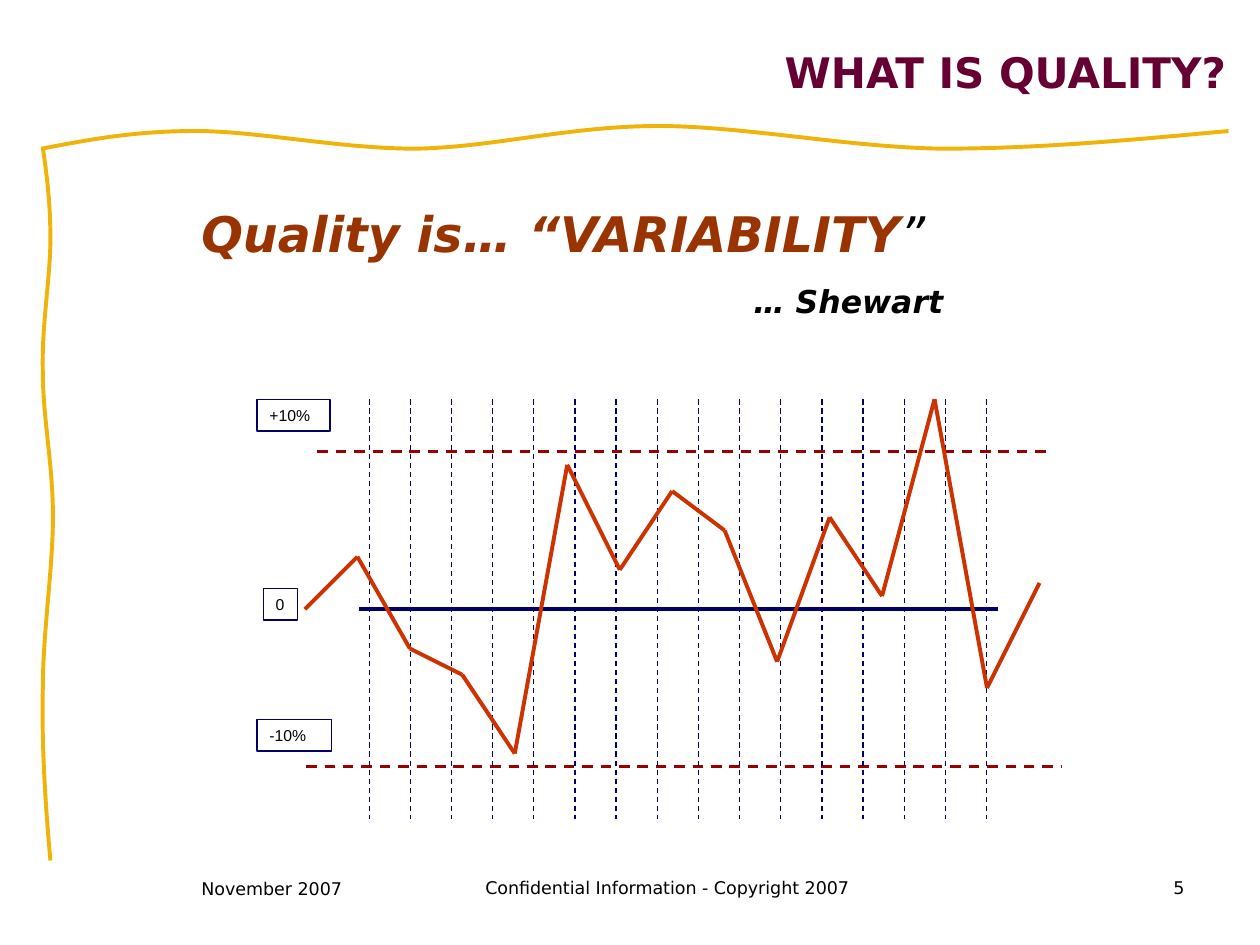
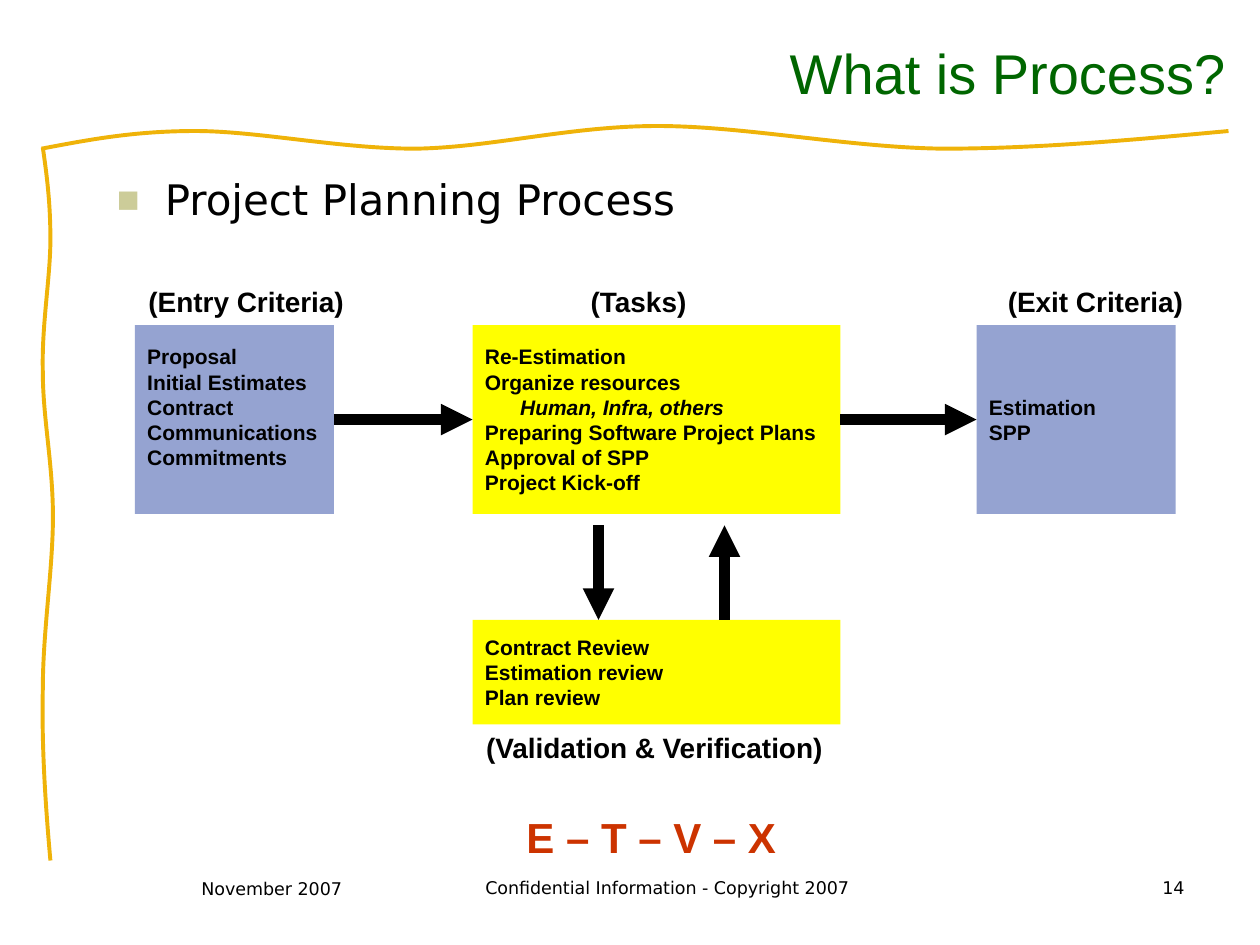
from itertools import pairwise

from lxml.etree import SubElement
from pptx import Presentation
from pptx.dml.color import RGBColor
from pptx.enum.dml import MSO_LINE_DASH_STYLE as Dash
from pptx.enum.shapes import MSO_CONNECTOR as Conn, MSO_SHAPE as Shape
from pptx.enum.text import MSO_ANCHOR as Anchor, MSO_AUTO_SIZE as Fit, PP_ALIGN as Align
from pptx.oxml.ns import qn
from pptx.util import Pt

PX = 9144  # 100 px to the inch
WIDTH, HEIGHT = 1000, 750

BLACK = RGBColor(0x00, 0x00, 0x00)
GOLD = RGBColor(0xEF, 0xB3, 0x09)
PLUM = RGBColor(0x66, 0x00, 0x33)
GREEN = RGBColor(0x00, 0x66, 0x00)
RUST = RGBColor(0x99, 0x33, 0x00)
RED = RGBColor(0x99, 0x00, 0x00)
NAVY = RGBColor(0x00, 0x00, 0x66)
ORANGE = RGBColor(0xCC, 0x33, 0x00)
BLUE = RGBColor(0x95, 0xA3, 0xD1)
YELLOW = RGBColor(0xFF, 0xFF, 0x00)
KHAKI = RGBColor(0xCC, 0xCC, 0x99)

SANS, ARIAL = "DejaVu Sans", "Arial"

# Start point, then two controls and an end for each curve
TOP_WAVE = [(33, 118), (70, 111), (106, 104), (155, 104),
            (205, 104), (269, 118), (330, 118),
            (391, 117), (452, 100), (522, 100),
            (591, 100), (673, 117), (748, 118),
            (824, 118), (899, 111), (975, 104)]
SIDE_WAVE = [(34, 117), (37, 138), (40, 160), (40, 190),
             (40, 220), (33, 258), (34, 295),
             (34, 332), (42, 368), (42, 410),
             (42, 452), (34, 501), (34, 547),
             (33, 592), (36, 638), (40, 683)]

FOOTER = ((150, 692, 133, "November 2007", Align.LEFT),
          (367, 691, 325, "Confidential Information - Copyright 2007", Align.CENTER))

SAMPLES = (0, 4, -3, -5, -11, 11, 3, 9, 6, -4, 7, 1, 16, -6, 2)


def emu(*lengths):
    return [round(n * PX) for n in lengths]


def style(para, size, color, font=SANS, bold=False, italic=False):
    for run in para.runs:
        face = run.font
        face.name, face.size, face.color.rgb = font, Pt(size), color
        face.bold, face.italic = bold, italic


def write(shape, text, size, color=BLACK, font=ARIAL, bold=False,
          align=Align.LEFT, anchor=Anchor.TOP, wrap=True):
    frame = shape.text_frame
    frame.text = text
    frame.word_wrap, frame.auto_size = wrap, Fit.NONE
    frame.vertical_anchor = anchor
    for para in frame.paragraphs:
        para.alignment = align
        style(para, size, color, font, bold)
    return frame


def label(slide, box, text, size, **look):
    return write(slide.shapes.add_textbox(*emu(*box)), text, size, **look)


def rect(slide, box, fill=None, edge=None):
    shape = slide.shapes.add_shape(Shape.RECTANGLE, *emu(*box))
    shape.shadow.inherit = False
    if fill is None:
        shape.fill.background()
    else:
        shape.fill.solid()
        shape.fill.fore_color.rgb = fill
    if edge is None:
        shape.line.fill.background()
    else:
        shape.line.color.rgb, shape.line.width = edge, Pt(0.75)
    return shape


def rule(slide, start, end, color, width, dash=None):
    line = slide.shapes.add_connector(Conn.STRAIGHT, *emu(*start, *end))
    line.line.color.rgb, line.line.width = color, Pt(width)
    if dash:
        line.line.dash_style = dash
    SubElement(line._element.spPr, qn("a:effectLst"))
    return line


def arrow(slide, start, end):
    line = rule(slide, start, end, BLACK, 6)
    SubElement(line.line._get_or_add_ln(), qn("a:tailEnd"), type="triangle")
    return line


def link(slide, left, right):
    """Join the right side of one box to the left side of the next."""
    line = arrow(slide, (0, 0), (0, 0))
    line.begin_connect(left, 3)
    line.end_connect(right, 1)


def wave(slide, points):
    """Draw a freeform and turn each three of its segments into one curve."""
    pen = slide.shapes.build_freeform(*emu(*points[0]))
    pen.add_line_segments([emu(*spot) for spot in points[1:]], close=False)
    shape = pen.convert_to_shape()
    legs = list(shape._element.iter(qn("a:lnTo")))
    for i in range(0, len(legs), 3):
        curve = SubElement(legs[i].getparent(), qn("a:cubicBezTo"))
        for leg in legs[i:i + 3]:
            curve.append(leg[0])
            leg.getparent().remove(leg)
    shape.shadow.inherit = False
    shape.fill.background()
    shape.line.color.rgb, shape.line.width = GOLD, Pt(2.25)


def frame_slide(deck, title, number, size, color, font, bold=False):
    """Add a slide with the waves, title and footer that all slides share."""
    slide = deck.slides.add_slide(deck.slide_layouts[5])
    wave(slide, TOP_WAVE)
    wave(slide, SIDE_WAVE)
    head = slide.shapes.title
    head.left, head.top, head.width, head.height = emu(133, 14, 850, 86)
    write(head, title, size, color, font, bold, Align.RIGHT, Anchor.MIDDLE)
    for x, y, w, text, align in (*FOOTER, (742, 691, 208, str(number), Align.RIGHT)):
        label(slide, (x, y, w, 50), text, 10, font=SANS, align=align)
    return slide


def quote(slide, box):
    frame = label(slide, box, "Quality is… “VARIABILITY", 28)
    first = frame.paragraphs[0]
    first.line_spacing = 1.5
    style(first, 28, RUST, bold=True, italic=True)
    mark = first.add_run()
    mark.text = "”"
    face = mark.font
    face.name, face.size, face.italic, face.color.rgb = SANS, Pt(28), True, BLACK
    author = frame.add_paragraph()
    author._p.get_or_add_pPr().set("marL", str(438 * PX))
    author.text = "… Shewart"
    author.line_spacing, author.space_before = 1.5, Pt(0.5)
    style(author, 18, BLACK, bold=True, italic=True)


def control(slide, box):
    """Draw the control chart: limits, grid, scale labels and samples."""
    x, y, w, h = box
    mid = y + h / 2
    limit = 125
    rule(slide, (x + 48, mid - limit), (x + w - 9, mid - limit), RED, 1.5, Dash.DASH)
    rule(slide, (x + 81, mid), (x + 588, mid), NAVY, 2.25)
    rule(slide, (x + 39, mid + limit), (x + w, mid + limit), RED, 1.5, Dash.DASH)
    for dx, dy, wide, text in ((5, 150, 27, "0"), (0, 0, 58, "+10%"), (0, 254, 59, "-10%")):
        tag = rect(slide, (x + dx, y + dy, wide, 25), edge=NAVY)
        write(tag, text, 9, wrap=wide > 30)
    count = 16
    for i in range(count):
        grid = x + 89 + 490 * i / (count - 1)
        rule(slide, (grid, y), (grid, y + h), NAVY, 0.75, Dash.DASH)
    step, unit = 583 / (len(SAMPLES) - 1), limit / 12
    spots = [(x + 38 + i * step, mid - n * unit) for i, n in enumerate(SAMPLES)]
    for a, b in pairwise(spots):
        rule(slide, a, b, ORANGE, 2.25)


def bullet(slide, box, text):
    frame = label(slide, box, text, 24, font=SANS)
    para = frame.paragraphs[0]
    para.line_spacing = 1.2
    props = para._p.get_or_add_pPr()
    props.set("marL", str(38 * PX))
    props.set("indent", str(-38 * PX))
    tint = SubElement(props, qn("a:buClr"))
    SubElement(tint, qn("a:srgbClr"), val=str(KHAKI))
    SubElement(props, qn("a:buSzPct"), val="90000")
    SubElement(props, qn("a:buFont"), typeface=ARIAL)
    SubElement(props, qn("a:buChar"), char="■")


def stage(slide, box, fill, lines):
    shape = rect(slide, box, fill)
    write(shape, "\n".join(lines), 12, bold=True, anchor=Anchor.MIDDLE)
    return shape


def flow(slide, box):
    """Draw the entry, task, validation and exit stages with their arrows."""
    x, y, w, h = box
    top, tall = y + 37, 150
    side, wide, mid = 158, 292, x + 268
    entry = stage(slide, (x, top, side, tall), BLUE,
                  ("Proposal", "Initial Estimates", "Contract",
                   "Communications", "Commitments"))
    entry.text_frame.margin_bottom = 25 * PX
    tasks = stage(slide, (mid, top, wide, tall), YELLOW,
                  ("Re-Estimation", "Organize resources", "Human, Infra, others",
                   "Preparing Software Project Plans", "Approval of SPP",
                   "Project Kick-off"))
    detail = tasks.text_frame.paragraphs[2]
    detail._p.get_or_add_pPr().set("marL", str(28 * PX))
    style(detail, 12, BLACK, ARIAL, bold=True, italic=True)
    leave = stage(slide, (x + w - side, top, side, tall), BLUE, ("Estimation", "SPP"))
    low = top + 234
    stage(slide, (mid, low, wide, 83), YELLOW,
          ("Contract Review", "Estimation review", "Plan review"))
    link(slide, entry, tasks)
    link(slide, tasks, leave)
    gap = top + tall + 9
    arrow(slide, (mid + 100, gap), (mid + 100, low))
    arrow(slide, (mid + 200, low), (mid + 200, gap))
    for dx, dy, wide, text in ((1, 0, 175, "(Entry Criteria)"),
                               (352, 0, 97, "(Tasks)"),
                               (683, 0, 159, "(Exit Criteria)"),
                               (269, 354, 289, "(Validation & Verification)")):
        label(slide, (x + dx, y + dy, wide, 37), text, 16, bold=True, wrap=False)
    label(slide, (x + 301, y + h - 50, 227, 50), "E – T – V – X", 24,
          color=ORANGE, bold=True, wrap=False)


def main():
    deck = Presentation()
    deck.slide_width, deck.slide_height = emu(WIDTH, HEIGHT)

    slide = frame_slide(deck, "WHAT IS QUALITY?", 5, 24, PLUM, SANS, bold=True)
    quote(slide, (150, 133, 725, 133))
    control(slide, (204, 317, 638, 333))

    slide = frame_slide(deck, "What is Process?", 14, 32, GREEN, ARIAL)
    bullet(slide, (83, 125, 900, 545), "Project Planning Process")
    flow(slide, (107, 221, 826, 468))

    deck.save("out.pptx")


if __name__ == "__main__":
    main()
